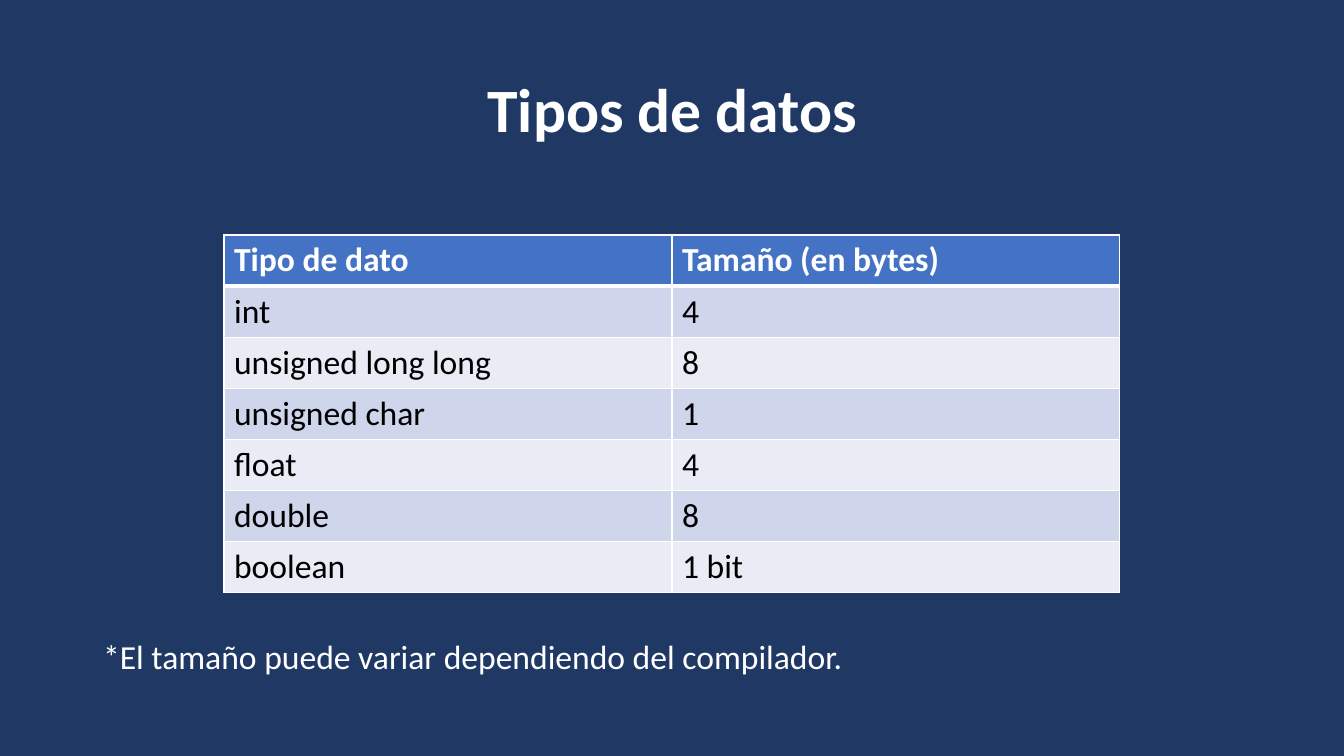
from lxml import etree
from pptx import Presentation
from pptx import util as u
from pptx.dml.color import RGBColor
from pptx.enum import text
from pptx.oxml.ns import qn

TITLE = "Tipos de datos"
NOTE = "*El tamaño puede variar dependiendo del compilador."
DATA_TYPES = [
    ("Tipo de dato", "Tamaño (en bytes)"),
    ("int", "4"),
    ("unsigned long long", "8"),
    ("unsigned char", "1"),
    ("float", "4"),
    ("double", "8"),
    ("boolean", "1 bit"),
]

NAVY, WHITE, BLACK = "203864", "FFFFFF", "000000"
HEADER, BANDS = "4472C4", ("E9EBF5", "CFD5EA")
SLIDE_SIZE = (1344, 756)
TITLE_BOX = (93, 40, 1159, 146)
NOTE_BOX = (93, 202, 1159, 480)
TABLE_LEFT, TABLE_TOP, COLUMN_WIDTH, ROW_HEIGHT = 224, 235, 448, 51


def px(length):
    return round(length * 914400 / 100.8)


def color(value):
    return RGBColor.from_string(value)


def write(frame, words, size=24, fill=WHITE, bold=False, align=text.PP_ALIGN.LEFT, spacing=1.0):
    para = frame.paragraphs[0]
    para.alignment = align
    para.line_spacing = spacing
    span = para.add_run()
    span.text = words
    span.font.name = "Calibri"
    span.font.size = u.Pt(size)
    span.font.bold = bold
    span.font.color.rgb = color(fill)
    return para


def place(box, bounds, anchor):
    box.left, box.top, box.width, box.height = map(px, bounds)
    frame = box.text_frame
    frame.word_wrap = True
    frame.auto_size = text.MSO_AUTO_SIZE.NONE
    frame.vertical_anchor = anchor
    return frame


def add_border(cell, side, points):
    line = etree.SubElement(cell._tc.get_or_add_tcPr(), qn(f"a:ln{side}"), w=str(u.Pt(points)))
    solid = etree.SubElement(line, qn("a:solidFill"))
    etree.SubElement(solid, qn("a:srgbClr"), val=WHITE)


def add_type_table(page):
    columns = len(DATA_TYPES[0])
    table = page.shapes.add_table(
        len(DATA_TYPES), columns, px(TABLE_LEFT), px(TABLE_TOP),
        px(columns * COLUMN_WIDTH), px(len(DATA_TYPES) * ROW_HEIGHT),
    ).table
    for row, values in enumerate(DATA_TYPES):
        table.rows[row].height = px(ROW_HEIGHT)
        is_header = row == 0
        for column, value in enumerate(values):
            cell = table.cell(row, column)
            for side in "LRTB":
                under_header = (row, side) in ((0, "B"), (1, "T"))
                add_border(cell, side, 3 if under_header else 1)
            cell.fill.solid()
            cell.fill.fore_color.rgb = color(HEADER if is_header else BANDS[row % 2])
            write(cell.text_frame, value, fill=WHITE if is_header else BLACK, bold=is_header)


def main():
    deck = Presentation()
    deck.slide_width, deck.slide_height = map(px, SLIDE_SIZE)
    page = deck.slides.add_slide(deck.slide_layouts[1])
    page.background.fill.solid()
    page.background.fill.fore_color.rgb = color(NAVY)

    title = place(page.shapes.title, TITLE_BOX, text.MSO_ANCHOR.MIDDLE)
    write(title, TITLE, size=44, bold=True, align=text.PP_ALIGN.CENTER, spacing=0.9)

    note = place(page.placeholders[1], NOTE_BOX, text.MSO_ANCHOR.BOTTOM)
    para = write(note, NOTE, spacing=0.9)
    para.space_before = u.Pt(0)
    settings = para._p.get_or_add_pPr()
    settings.set("marL", "0")
    settings.set("indent", "0")
    etree.SubElement(settings, qn("a:buNone"))

    add_type_table(page)
    deck.save("out.pptx")


if __name__ == "__main__":
    main()
